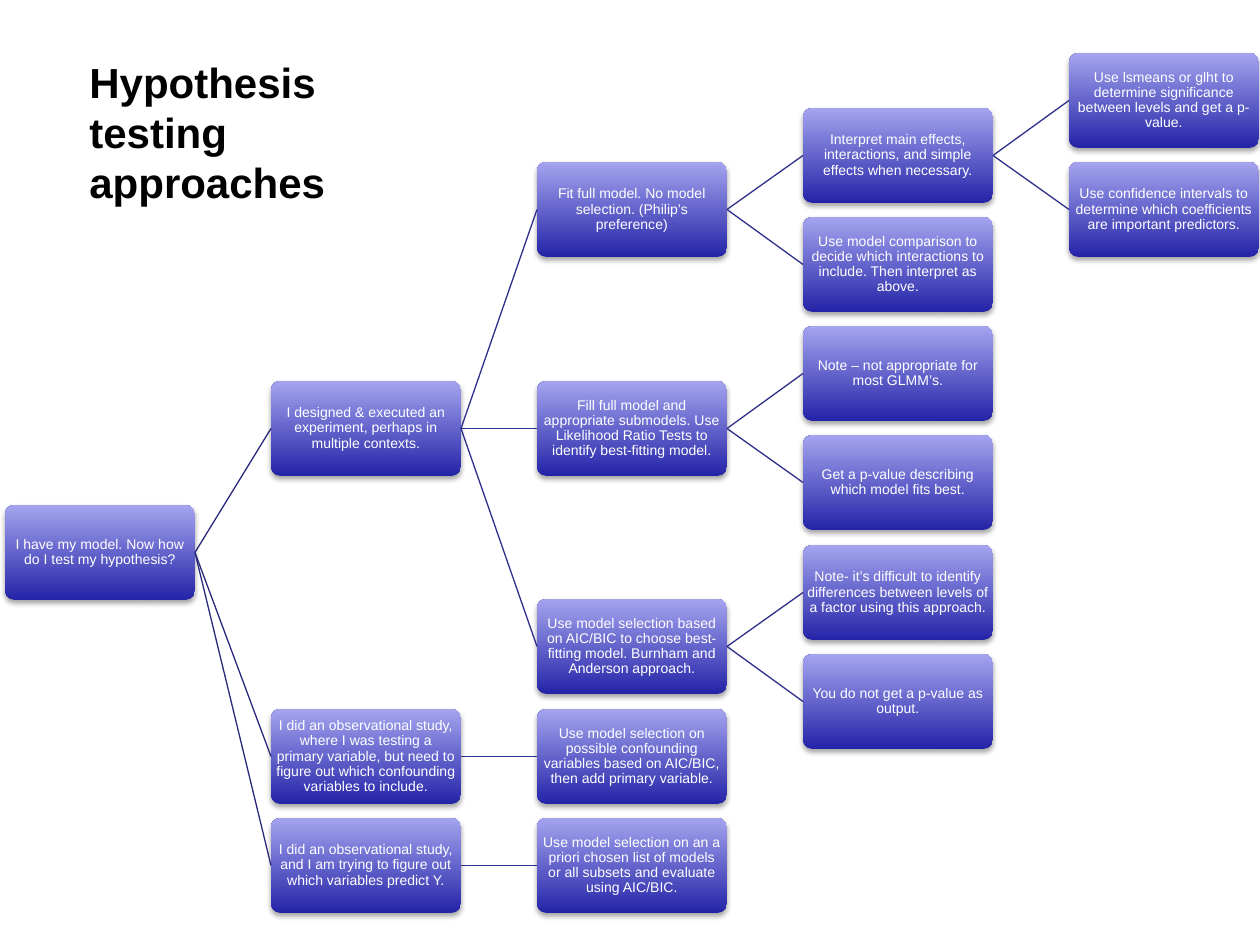
"""Build a decision-tree slide on hypothesis testing approaches."""
from dataclasses import dataclass

from lxml.etree import SubElement
from pptx import Presentation
from pptx.dml.color import RGBColor
from pptx.enum.shapes import MSO_CONNECTOR, MSO_SHAPE
from pptx.enum.text import MSO_ANCHOR, PP_ALIGN
from pptx.oxml.ns import qn
from pptx.util import Emu, Pt

TITLE = "Hypothesis testing approaches"

# Each node: (row in half-box steps, text, children)
TREE = (8.28, "I have my model. Now how do I test my hypothesis?", [
    (6, "I designed & executed an experiment, perhaps in multiple contexts.", [
        (2, "Fit full model. No model selection. (Philip’s preference)", [
            (1, "Interpret main effects, interactions, and simple effects when necessary.", [
                (0, "Use lsmeans or glht to determine significance between levels and get a p-value.", []),
                (2, "Use confidence intervals to determine which coefficients are important predictors.", []),
            ]),
            (3, "Use model comparison to decide which interactions to include. Then interpret as above.", []),
        ]),
        (6, "Fill full model and appropriate submodels. Use Likelihood Ratio Tests to identify best-fitting model.", [
            (5, "Note – not appropriate for most GLMM’s.", []),
            (7, "Get a p-value describing which model fits best.", []),
        ]),
        (10, "Use model selection based on AIC/BIC to choose best-fitting model. Burnham and Anderson approach.", [
            (9, "Note- it’s difficult to identify differences between levels of a factor using this approach.", []),
            (11, "You do not get a p-value as output.", []),
        ]),
    ]),
    (12, "I did an observational study, where I was testing a primary variable, but need to figure out which confounding variables to include.", [
        (12, "Use model selection on possible confounding variables based on AIC/BIC, then add primary variable.", []),
    ]),
    (14, "I did an observational study, and I am trying to figure out which variables predict Y.", [
        (14, "Use model selection on an a priori chosen list of models or all subsets and evaluate using AIC/BIC.", []),
    ]),
])


@dataclass(frozen=True)
class Theme:
    font: str = "Arial"
    title_size: int = 24
    box_size: int = 8
    title: str = "000000"
    box_text: str = "FFFFFF"
    box_bottom: str = "2424A8"
    box_top: str = "A4A4EF"
    root_line: str = "29297B"
    branch_line: str = "2E2E8B"
    line_width: float = 0.75


THEME = Theme()
BOX_W, BOX_H = 190, 95
LEFT, TOP = 5, 53
COL_STEP, ROW_STEP = 266, 54.63
LEFT_SITE, RIGHT_SITE = 1, 3


def px(n):
    return Emu(round(n * 914400 / 126))


def rgb(code):
    return RGBColor.from_string(code)


def add_text(tf, text, size, color, bold=False):
    tf.word_wrap = True
    p = tf.paragraphs[0]
    r = p.add_run()
    r.text = text
    r.font.name = THEME.font
    r.font.size = Pt(size)
    r.font.bold = bold
    r.font.color.rgb = rgb(color)
    return p


def add_shadow(s):
    s.shadow.inherit = False
    effects = s._element.spPr.find(qn("a:effectLst"))
    shadow = SubElement(effects, qn("a:outerShdw"), blurRad=str(Pt(3.1)),
                        dist=str(Pt(1.8)), dir="5400000", rotWithShape="0")
    color = SubElement(shadow, qn("a:srgbClr"), val="000000")
    SubElement(color, qn("a:alpha"), val="35000")


def add_box(slide, level, row, text):
    s = slide.shapes.add_shape(
        MSO_SHAPE.ROUNDED_RECTANGLE, px(LEFT + level * COL_STEP),
        px(TOP + round(row * ROW_STEP)), px(BOX_W), px(BOX_H))
    s.adjustments[0] = 0.1
    s.fill.gradient()
    s.fill.gradient_angle = 90
    for stop, color in zip(s.fill.gradient_stops, (THEME.box_bottom, THEME.box_top)):
        stop.color.rgb = rgb(color)
    s.line.fill.background()
    add_shadow(s)
    tf = s.text_frame
    tf.margin_left = tf.margin_right = tf.margin_top = tf.margin_bottom = px(1)
    tf.vertical_anchor = MSO_ANCHOR.MIDDLE
    p = add_text(tf, text, THEME.box_size, THEME.box_text)
    p.alignment = PP_ALIGN.CENTER
    p.line_spacing = 0.9
    return s


def add_link(slide, parent, child, color):
    c = slide.shapes.add_connector(MSO_CONNECTOR.STRAIGHT, 0, 0, 0, 0)
    c.begin_connect(parent, RIGHT_SITE)
    c.end_connect(child, LEFT_SITE)
    c.line.color.rgb = rgb(color)
    c.line.width = Pt(THEME.line_width)
    SubElement(c._element.spPr, qn("a:effectLst"))


def add_branch(slide, node, level=0):
    row, text, children = node
    s = add_box(slide, level, row, text)
    color = THEME.branch_line if level else THEME.root_line
    for child in children:
        add_link(slide, s, add_branch(slide, child, level + 1), color)
    return s


def main():
    prs = Presentation()
    prs.slide_width, prs.slide_height = px(1260), px(945)
    slide = prs.slides.add_slide(prs.slide_layouts[6])
    add_branch(slide, TREE)
    title = slide.shapes.add_textbox(px(77), px(50), px(370), px(165))
    add_text(title.text_frame, TITLE, THEME.title_size, THEME.title, bold=True)
    prs.save("out.pptx")


if __name__ == "__main__":
    main()
